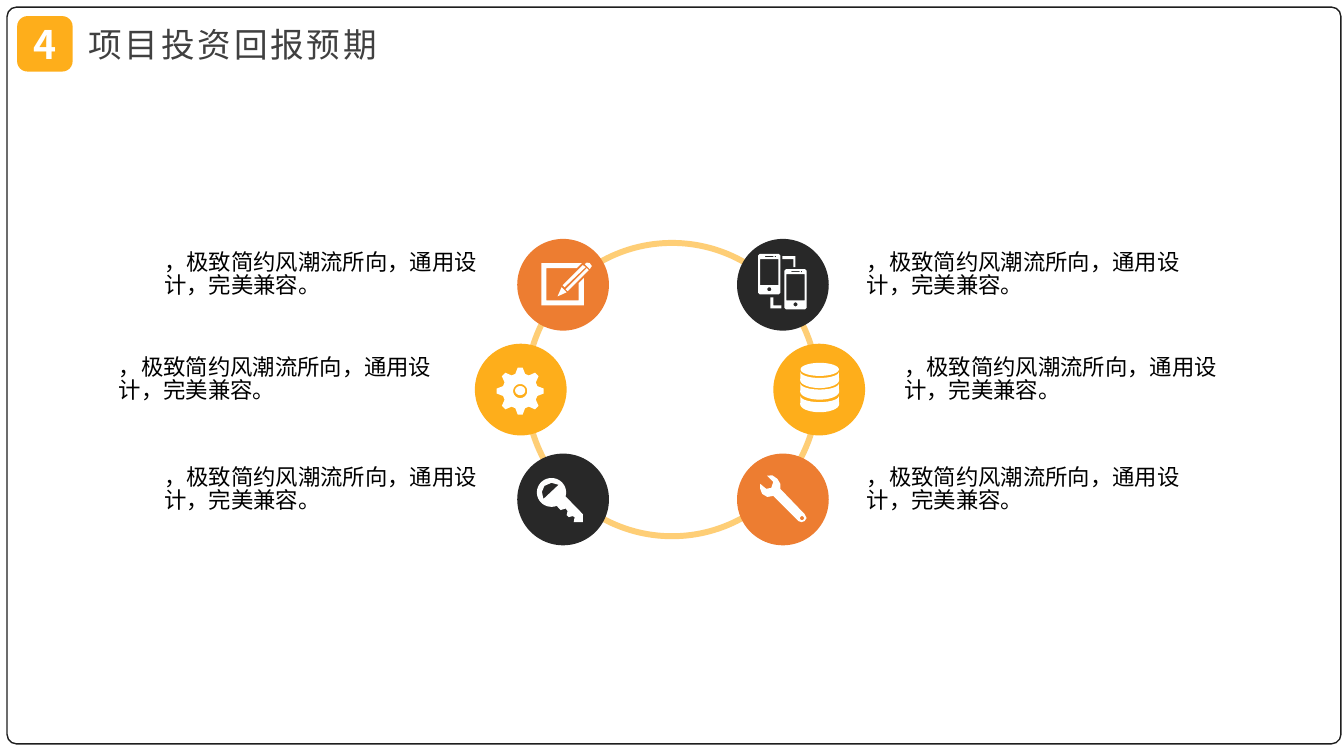
from math import cos, sin, radians
from pptx import Presentation
from pptx.dml.color import RGBColor as Rgb
from pptx.enum.shapes import MSO_SHAPE as Kind
from pptx.enum.text import MSO_ANCHOR as Anchor, PP_ALIGN as Align
from pptx.oxml.ns import qn
from pptx.util import Inches, Pt

# Content
FONT = "Noto Sans CJK SC"
TITLE = "项目投资回报预期"
NUMBER = "4"
NOTE = "，极致简约风潮流所向，通用设计，完美兼容。"
HUE = {"gold": "FEAE1B", "pale": "FECE76", "rust": "ED7D31", "dark": "282828",
       "frame": "1E1E1E", "title": "404040", "text": "000000", "white": "FFFFFF",
       "icon": "FEFFFF"}

# Grid: three rows; a disc and a note on each side
ROWS = (2.37, 3.41, 4.5)
DISC = 0.91
DROP = 0.09   # note top below disc top
# row, disc left, disc colour, note left, note width, icon
ITEMS = [
    (0, 5.13, "rust", 1.53, 3.32, "edit"),
    (1, 4.71, "gold", 1.08, 3.35, "gear"),
    (2, 5.13, "dark", 1.53, 3.32, "key"),
    (0, 7.31, "dark", 8.5, 3.34, "phones"),
    (1, 7.67, "gold", 8.87, 3.51, "data"),
    (2, 7.31, "rust", 8.5, 3.34, "wrench"),
]


# Icon outlines, in hundredths of an inch from the corner of the disc
def arc(x, y, rx, ry, start=0, end=360, steps=32):
    turns = [radians(start + (end - start) * i / steps) for i in range(steps + 1)]
    return [(x + rx * cos(t), y + ry * sin(t)) for t in turns]


def box(x, y, w, h, cut=0):
    return [(x + cut, y), (x + w - cut, y), (x + w, y + cut), (x + w, y + h - cut),
            (x + w - cut, y + h), (x + cut, y + h), (x, y + h - cut), (x, y + cut)]


def phone(x, y):
    return [box(x, y, 22, 40, 1.5), box(x + 2, y + 5, 18, 26), box(x + 7, y + 2, 8, 1),
            arc(x + 17, y + 2.5, 0.7, 0.7), arc(x + 11, y + 35, 2, 2)]


def gear(x, y, teeth=8):
    rim = []
    for i in range(teeth):
        for turn, r in ((-16, 17.7), (-6, 23.4), (6, 23.4), (16, 17.7)):
            t = radians(i * 360 / teeth + turn)
            rim.append((x + r * cos(t), y + r * sin(t)))
    return [rim, arc(x, y, 7, 7)]


def band(y):
    return [arc(46, y, 19, 6, 180, 0) + arc(46, y + 8, 19.3, 8, 0, 180)]


# Each icon is a list of parts; each part is a list of outlines, holes included
ICONS = {
    "edit": [
        [[(49, 53), (44, 48), (40, 57)]],
        [[(65, 26), (45, 46), (47, 48), (68, 28)]],
        [[(48, 50), (50, 52), (71, 31), (69, 29)]],
        [[(67, 25), (69, 23.5), (72, 24), (74, 27), (72, 30)]],
        [[(61, 61), (29, 61), (29, 29), (59, 29), (64, 24), (24, 24),
          (24, 66), (66, 66), (66, 39), (61, 44)]],
    ],
    "gear": [gear(45, 47), [arc(45, 46.5, 5, 4.5)]],
    "key": [[
        arc(34, 38.5, 14.5, 14.3, 69, 376)
        + [(65, 60), (65, 68), (56, 68), (57, 63), (55, 62), (51, 63),
           (49, 61), (50, 57), (48, 54.5), (43, 56)],
        [(26, 45), (24.5, 38), (27, 32), (34, 29), (41, 31)],
    ]],
    "phones": [
        phone(21, 15), phone(47, 30),
        [[(56, 28), (58, 28), (58, 17), (45, 17), (45, 20), (56, 20)]],
        [[(33, 58), (36, 58), (36, 66), (44, 66), (44, 69), (33, 69)]],
    ],
    "data": [[arc(46, 25.5, 19, 6.5)]] + [band(y) for y in (28, 39.5, 52)],
    "wrench": [[
        [(43, 35), (43, 30), (40, 25), (35, 21.5), (30, 22), (36, 28), (34, 34),
         (29, 35), (23, 30), (23, 35), (25, 40), (30, 43), (36, 42), (61, 67),
         (64, 68), (67, 67), (69, 64), (67, 60)],
        arc(64.5, 64, 2, 2),
    ]],
}

deck = Presentation()
deck.slide_width, deck.slide_height = Inches(13.33), Inches(7.5)
slide = deck.slides.add_slide(deck.slide_layouts[6])
shapes = slide.shapes


def paint(item, fill=None, line=None, width=1):
    item.shadow.inherit = False
    if fill:
        item.fill.solid()
        item.fill.fore_color.rgb = Rgb.from_string(HUE[fill])
    else:
        item.fill.background()
    if line:
        item.line.color.rgb = Rgb.from_string(HUE[line])
        item.line.width = Pt(width)
    else:
        item.line.fill.background()


def shape(kind, x, y, w, h, round_by=None, **look):
    item = shapes.add_shape(kind, *map(Inches, (x, y, w, h)))
    if round_by is not None:
        item.adjustments[0] = round_by
    paint(item, **look)
    return item


def write(item, text, size, hue, bold=False, gap=None, align=Align.LEFT):
    item.text_frame.word_wrap = True
    para = item.text_frame.paragraphs[0]
    para.alignment = align
    run = para.add_run()
    run.text = text
    font = run.font
    font.name, font.size, font.bold = FONT, Pt(size), bold
    font.color.rgb = Rgb.from_string(HUE[hue])
    props = run._r.get_or_add_rPr()
    face = props.makeelement(qn("a:ea"), {"typeface": FONT})
    props.find(qn("a:latin")).addnext(face)
    if gap:
        props.set("spc", str(gap * 100))
    return para


def draw(part, x, y):
    loops = [[(Inches(x + a / 100), Inches(y + b / 100)) for a, b in loop]
             for loop in part]
    pen = shapes.build_freeform(*loops[0][0], scale=1.0)
    for i, loop in enumerate(loops):
        if i:
            pen.move_to(*loop[0])
        pen.add_line_segments(loop[1:], close=True)
    paint(pen.convert_to_shape(), "icon")


# Heading
badge = shape(Kind.ROUNDED_RECTANGLE, 0.17, 0.16, 0.55, 0.55, 0.186, fill="gold")
frame = badge.text_frame
frame.margin_left = frame.margin_right = frame.margin_top = frame.margin_bottom = 0
frame.vertical_anchor = Anchor.MIDDLE
write(badge, NUMBER, 28, "white", bold=True, align=Align.CENTER)
head = shape(Kind.ROUNDED_RECTANGLE, 0.73, 0.16, 3.16, 0.55, 0.091)
head.text_frame.vertical_anchor = Anchor.MIDDLE
write(head, TITLE, 24, "title", gap=2, align=Align.CENTER)

# Border and ring
shape(Kind.ROUNDED_RECTANGLE, 0.07, 0.07, 13.23, 7.31, 0.013, line="frame")
shape(Kind.OVAL, 5.22, 2.41, 2.89, 2.91, line="pale", width=4.25)

# Discs, icons and notes
for row, left, hue, x, w, icon in ITEMS:
    top = ROWS[row]
    shape(Kind.OVAL, left, top, DISC, DISC, fill=hue)
    for part in ICONS[icon]:
        draw(part, left, top)
    note = shapes.add_textbox(*map(Inches, (x, top + DROP, w, 0.64)))
    write(note, NOTE, 16, "text").line_spacing = 0.84

deck.save("out.pptx")
